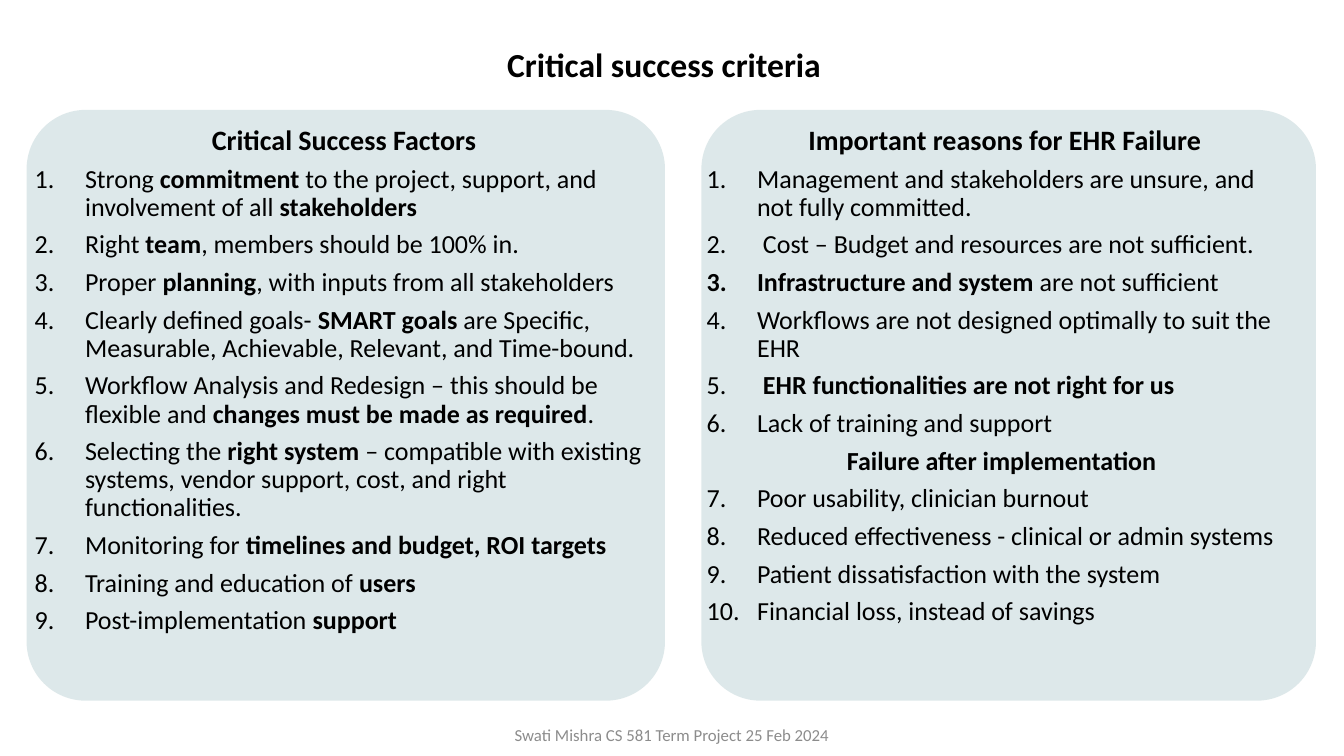
from dataclasses import dataclass

import pptx
import pptx.dml.color
import pptx.enum.shapes
import pptx.enum.text
import pptx.oxml.ns
import pptx.util
from lxml import etree

Pt = pptx.util.Pt
RGBColor = pptx.dml.color.RGBColor
Align = pptx.enum.text.PP_ALIGN
Anchor = pptx.enum.text.MSO_ANCHOR
qn = pptx.oxml.ns.qn


@dataclass(frozen=True)
class Theme:
    font: str = "Calibri"
    ink: RGBColor = RGBColor(0, 0, 0)
    muted: RGBColor = RGBColor(0x8C, 0x8C, 0x8C)
    panel: RGBColor = RGBColor(0x7F, 0xA8, 0xAE)
    panel_opacity: int = 26
    title_size: float = 24
    heading_size: float = 20
    item_size: float = 18.6
    footer_size: float = 12


THEME = Theme()
PANEL_TOP, PANEL_HEIGHT = 78.5, 422
LIST_TOP, LIST_HEIGHT = 84.25, 416
LIST_INSET, LIST_INDENT = 5.75, 36

SUCCESS_FACTORS = [
    ("Critical Success Factors", [
        "Strong **commitment** to the project, support, and involvement of all **stakeholders**",
        "Right** team**, members should be 100% in.",
        "Proper **planning**, with inputs from all stakeholders",
        "Clearly defined goals- **SMART goals **are Specific, Measurable, Achievable, "
        "Relevant, and Time-bound.",
        "Workflow Analysis and Redesign – this should be flexible and "
        "**changes must be made as required**.",
        "Selecting the **right system **– compatible with existing systems, vendor support, "
        "cost, and right functionalities.",
        "Monitoring for **timelines and budget, ROI targets**",
        "Training and education of **users**",
        "Post-implementation **support**",
    ]),
]
FAILURE_REASONS = [
    ("Important reasons for EHR Failure", [
        "Management and stakeholders are unsure, and not fully committed.",
        " Cost – Budget and resources are not sufficient.",
        "**Infrastructure and system **are not sufficient",
        "Workflows are not designed optimally to suit the EHR",
        " **EHR functionalities are not right for us**",
        "Lack of training and support",
    ]),
    ("Failure after implementation", [
        "Poor usability, clinician burnout",
        "Reduced effectiveness - clinical or admin systems",
        "Patient dissatisfaction with the system",
        "Financial loss, instead of savings",
    ]),
]


def place(shape, left, top, width, height):
    shape.left, shape.top, shape.width, shape.height = map(Pt, (left, top, width, height))


def style(paragraph, size, color, bold=None):
    font = paragraph.font
    font.name, font.size, font.bold = THEME.font, Pt(size), bold
    font.color.rgb = color


def add_marked_runs(paragraph, text):
    for position, part in enumerate(text.split("**")):
        if part:
            run = paragraph.add_run()
            run.text = part
            run.font.bold = position % 2 == 1


def set_numbering(paragraph, number):
    properties = paragraph._p.get_or_add_pPr()
    indent = Pt(LIST_INDENT) if number else 0
    properties.set("marL", str(indent))
    properties.set("indent", str(-indent))
    if number:
        bullet = etree.SubElement(properties, qn("a:buAutoNum"), type="arabicPeriod")
        if number > 1:
            bullet.set("startAt", str(number))
    else:
        etree.SubElement(properties, qn("a:buNone"))


def add_entry(paragraph, text, size, start=None):
    set_numbering(paragraph, start)
    paragraph.alignment = Align.LEFT if start else Align.CENTER
    paragraph.line_spacing = 0.9
    paragraph.space_before = Pt(0)
    paragraph.space_after = Pt(6.8)
    add_marked_runs(paragraph, text)
    style(paragraph, size, THEME.ink)


def fill_list(placeholder, left, width, sections):
    place(placeholder, left, LIST_TOP, width, LIST_HEIGHT)
    frame = placeholder.text_frame
    frame.word_wrap = True
    frame.auto_size = pptx.enum.text.MSO_AUTO_SIZE.NONE
    frame.vertical_anchor = Anchor.TOP
    frame.margin_left = frame.margin_right = Pt(LIST_INSET)
    frame.margin_top = frame.margin_bottom = Pt(LIST_INSET)
    start = 1
    paragraph = frame.paragraphs[0]
    for heading, items in sections:
        if start > 1:
            paragraph = frame.add_paragraph()
        size = THEME.heading_size if start == 1 else THEME.item_size
        lead = " " if start == 1 else ""
        add_entry(paragraph, f"{lead}**{heading}**", size)
        for item in items:
            add_entry(frame.add_paragraph(), item, THEME.item_size, start)
        start += len(items)


def add_panel(slide, placeholder, left, width):
    panel = slide.shapes.add_shape(
        pptx.enum.shapes.MSO_SHAPE.ROUNDED_RECTANGLE,
        Pt(left), Pt(PANEL_TOP), Pt(width), Pt(PANEL_HEIGHT))
    panel.adjustments[0] = 0.1
    panel.shadow.inherit = False
    panel.line.fill.background()
    panel.fill.solid()
    panel.fill.fore_color.rgb = THEME.panel
    color = panel.element.spPr.find(qn("a:solidFill"))[0]
    etree.SubElement(color, qn("a:alpha"), val=str(THEME.panel_opacity * 1000))
    placeholder.element.addprevious(panel.element)


def set_title(title, text):
    place(title, 355, 27.5, 250, 36)
    title.text_frame.word_wrap = True
    title.text_frame.vertical_anchor = Anchor.TOP
    paragraph = title.text_frame.paragraphs[0]
    paragraph.text = text
    paragraph.alignment = Align.LEFT
    style(paragraph, THEME.title_size, THEME.ink, True)


def add_footer(slide, text):
    footer = slide.shapes.add_textbox(Pt(318), Pt(510.5), Pt(324), Pt(28.75))
    footer.text_frame.word_wrap = True
    footer.text_frame.vertical_anchor = Anchor.MIDDLE
    paragraph = footer.text_frame.paragraphs[0]
    paragraph.text = text
    paragraph.alignment = Align.CENTER
    style(paragraph, THEME.footer_size, THEME.muted)


def main():
    presentation = pptx.Presentation()
    presentation.slide_width, presentation.slide_height = Pt(960), Pt(540)
    slide = presentation.slides.add_slide(presentation.slide_layouts.get_by_name("Two Content"))
    title, success_list, failure_list = slide.placeholders
    set_title(title, "Critical success criteria")
    add_panel(slide, success_list, 19, 456)
    fill_list(success_list, 19, 449, SUCCESS_FACTORS)
    add_panel(slide, failure_list, 501, 439)
    fill_list(failure_list, 499, 433, FAILURE_REASONS)
    add_footer(slide, "Swati Mishra CS 581 Term Project 25 Feb 2024")
    presentation.save("out.pptx")


if __name__ == "__main__":
    main()
